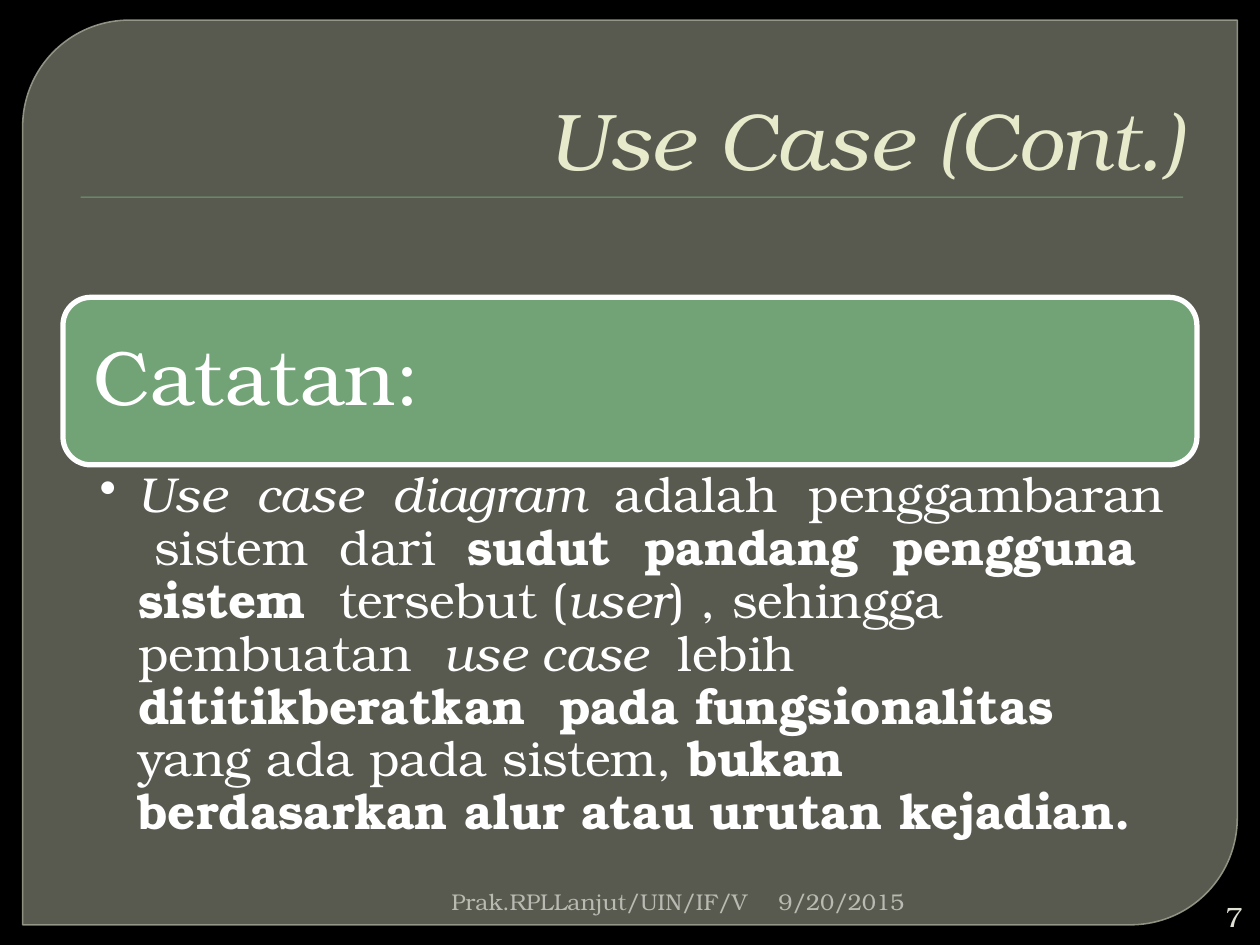
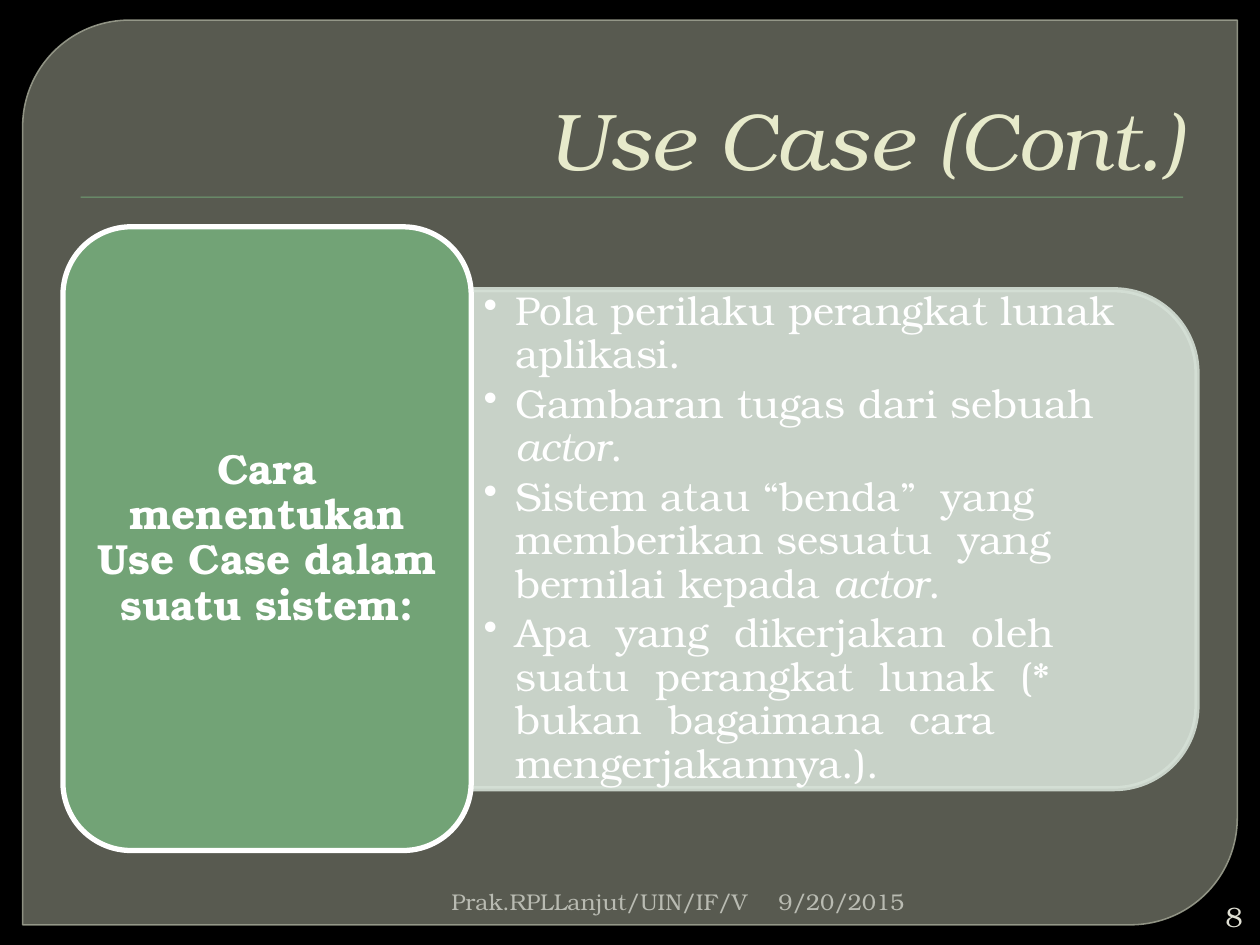
from lxml.etree import SubElement
from pptx import Presentation
from pptx.dml.color import RGBColor
from pptx.enum.shapes import MSO_SHAPE as SHAPE
from pptx.enum.text import MSO_ANCHOR as ANCHOR, PP_ALIGN as ALIGN
from pptx.oxml.ns import qn
from pptx.util import Inches, Pt

# The slide is a grid of 100 columns and 75 rows of square cells.
CELL = Inches(0.1)
FONT = "TeX Gyre Bonum"
BLACK, WHITE, GREEN, PALE_GREEN = "000000", "FFFFFF", "72A376", "D5E0D6"
FRAME_FILL, FRAME_LINE = "888B7B", "9DA090"
TITLE_COLOR, FOOTER_COLOR, NUMBER_COLOR = "E7EACB", "B9BBB2", "E0E0D4"
PLAIN_INSETS = (1, 0.5, 1, 0.5)


def paint(fill, color, opacity=100):
    """Make a fill solid in a hex colour, with an opacity in percent."""
    fill.solid()
    fill.fore_color.rgb = RGBColor.from_string(color)
    if opacity < 100:
        element = fill._xPr.find(qn("a:solidFill"))[0]
        SubElement(element, qn("a:alpha"), val=str(opacity * 1000))


def write(slide, place, paragraphs, size, color=WHITE, align=ALIGN.LEFT,
          anchor=ANCHOR.TOP, insets=PLAIN_INSETS, spacing=1.0, after=0, bullet=0):
    """Add a text box of (text, style) runs; bullet is the hanging indent in cells."""
    shape = slide.shapes.add_textbox(*[int(cells * CELL) for cells in place])
    frame = shape.text_frame
    frame.word_wrap = True
    frame.vertical_anchor = anchor
    (frame.margin_left, frame.margin_top,
     frame.margin_right, frame.margin_bottom) = [int(cells * CELL) for cells in insets]
    for index, runs in enumerate(paragraphs):
        paragraph = frame.add_paragraph() if index else frame.paragraphs[0]
        paragraph.alignment = align
        paragraph.line_spacing = spacing
        paragraph.space_after = Pt(after)
        if bullet:
            properties = paragraph._p.get_or_add_pPr()
            properties.set("marL", str(int(bullet * CELL)))
            properties.set("indent", str(-int(bullet * CELL)))
            SubElement(properties, qn("a:buChar"), char="•")
        for text, style in runs:
            run = paragraph.add_run()
            run.text = text
            run.font.name = FONT
            run.font.size = Pt(size)
            run.font.bold = style == "bold"
            run.font.italic = style == "italic"
            paint(run.font.fill, color)


presentation = Presentation()
presentation.slide_width = 100 * CELL
presentation.slide_height = 75 * CELL

# Shapes: preset, place, adjustments, rotation, fill, opacity, line, line width, line opacity.
shared_shapes = [
    (SHAPE.ROUND_2_DIAG_RECTANGLE, (1.8, 1.6, 96.4, 71.8), (0.118, 0), 0,
     FRAME_FILL, 65, FRAME_LINE, 0.87, 88),
    (SHAPE.RECTANGLE, (6.4, 15.6, 87.5, 0.1), (), 0, GREEN, 100, None, 0, 100),
]
note_shapes = [
    (SHAPE.ROUNDED_RECTANGLE, (5, 23.6, 90, 13.3), (), 0, GREEN, 100, WHITE, 3, 100),
]
method_shapes = [
    (SHAPE.ROUND_2_SAME_RECTANGLE, (46.4, 14, 39.6, 57.6), (), 90,
     PALE_GREEN, 90, PALE_GREEN, 3, 90),
    (SHAPE.ROUNDED_RECTANGLE, (5, 18, 32.4, 49.5), (), 0, GREEN, 100, WHITE, 3, 100),
]

slides = []
for number, own_shapes in enumerate((note_shapes, method_shapes), start=7):
    slide = presentation.slides.add_slide(presentation.slide_layouts[6])
    slides.append(slide)
    paint(slide.background.fill, BLACK)
    for (preset, place, adjustments, rotation, color, opacity,
         line_color, line_width, line_opacity) in shared_shapes + own_shapes:
        shape = slide.shapes.add_shape(preset, *[int(cells * CELL) for cells in place])
        shape.shadow.inherit = False
        shape.rotation = rotation
        for index, value in enumerate(adjustments):
            shape.adjustments[index] = value
        paint(shape.fill, color, opacity)
        if line_color:
            shape.line.width = Pt(line_width)
            paint(shape.line.fill, line_color, line_opacity)
        else:
            shape.line.fill.background()
    write(slide, (5, 2.8, 90, 12.5), [[("Use Case (Cont.)", "italic")]], 46,
          TITLE_COLOR, ALIGN.RIGHT, ANCHOR.BOTTOM)
    write(slide, (60.8, 70, 32.8, 3), [[("9/20/2015", "")]], 13, FOOTER_COLOR)
    write(slide, (14.2, 70, 46.1, 3), [[("Prak.RPLLanjut/UIN/IF/V", "")]], 13,
          FOOTER_COLOR, ALIGN.RIGHT)
    write(slide, (94.5, 71.2, 5.1, 3), [[(str(number), "")]], 16,
          NUMBER_COLOR, ALIGN.RIGHT, ANCHOR.MIDDLE)

note_slide, method_slide = slides

# Note about use case diagrams
write(note_slide, (5.6, 24.2, 88.7, 12), [[("Catatan:", "")]], 44,
      anchor=ANCHOR.MIDDLE, insets=(1.8, 1.8, 1.8, 1.8), spacing=0.9)
note = [
    ("Use  case  diagram  ", "italic"),
    ("adalah  penggambaran  sistem  dari  ", ""),
    ("sudut  pandang  pengguna sistem  ", "bold"),
    ("tersebut (", ""),
    ("user", "italic"),
    (") , sehingga pembuatan  ", ""),
    ("use case  ", "italic"),
    ("lebih ", ""),
    ("dititikberatkan  pada fungsionalitas ", "bold"),
    ("yang ada pada sistem, ", ""),
    ("bukan berdasarkan alur atau urutan kejadian.", "bold"),
]
write(note_slide, (5, 36.9, 90, 25), [note], 28,
      insets=(2.9, 0.4, 2.2, 0.4), spacing=0.9, bullet=3.1)

# Ways to find the use cases of a system
write(method_slide, (6.6, 19.6, 29.2, 46.3),
      [[("Cara menentukan Use Case dalam suatu sistem:", "bold")]], 24,
      align=ALIGN.CENTER, anchor=ANCHOR.MIDDLE, spacing=0.9)
methods = [
    [("Pola perilaku perangkat lunak aplikasi.", "")],
    [("Gambaran tugas dari sebuah ", ""), ("actor", "italic"), (".", "")],
    [("Sistem atau “benda”  yang memberikan sesuatu  yang bernilai kepada ", ""),
     ("actor", "italic"), (".", "")],
    [("Apa  yang  dikerjakan  oleh  suatu  perangkat  lunak  "
      "(*  bukan  bagaimana  cara mengerjakannya.).", "")],
]
write(method_slide, (37.4, 24.9, 55.7, 35.7), methods, 23,
      anchor=ANCHOR.MIDDLE, spacing=0.9, after=3.5, bullet=2.5)

presentation.save("out.pptx")
